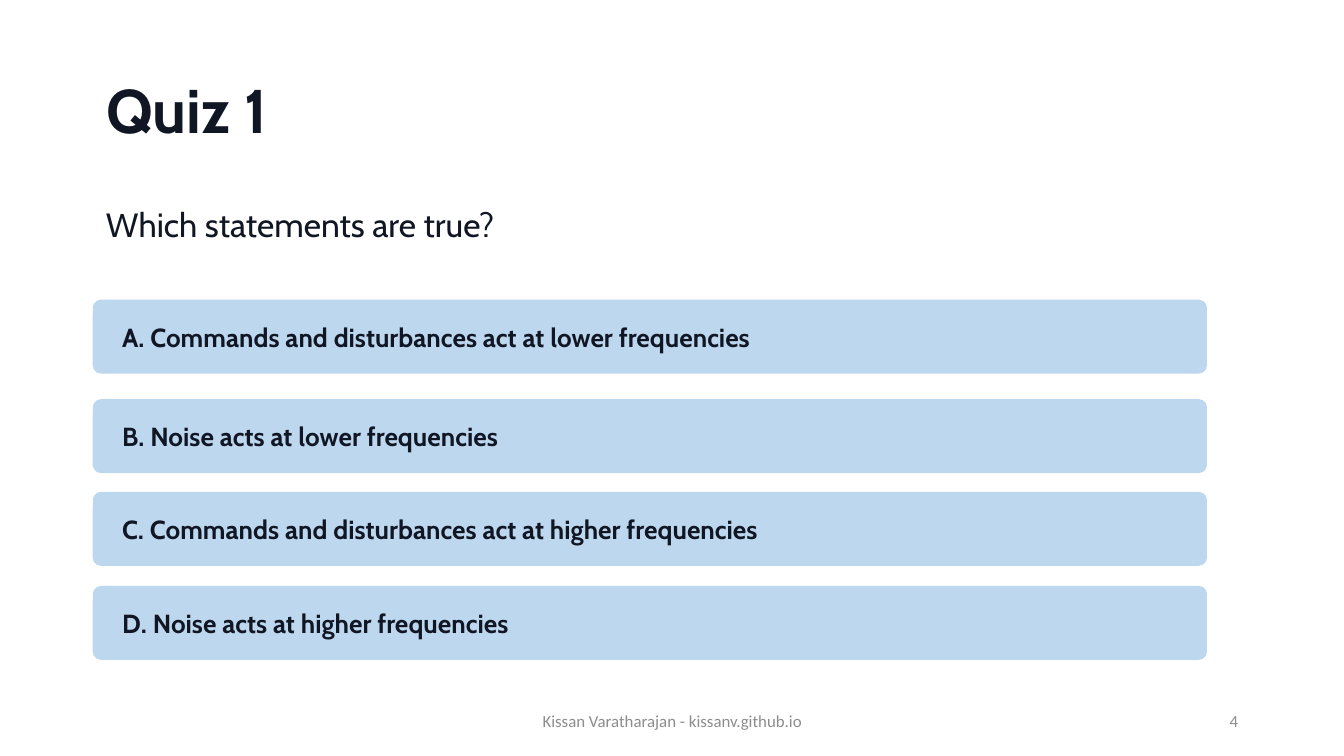
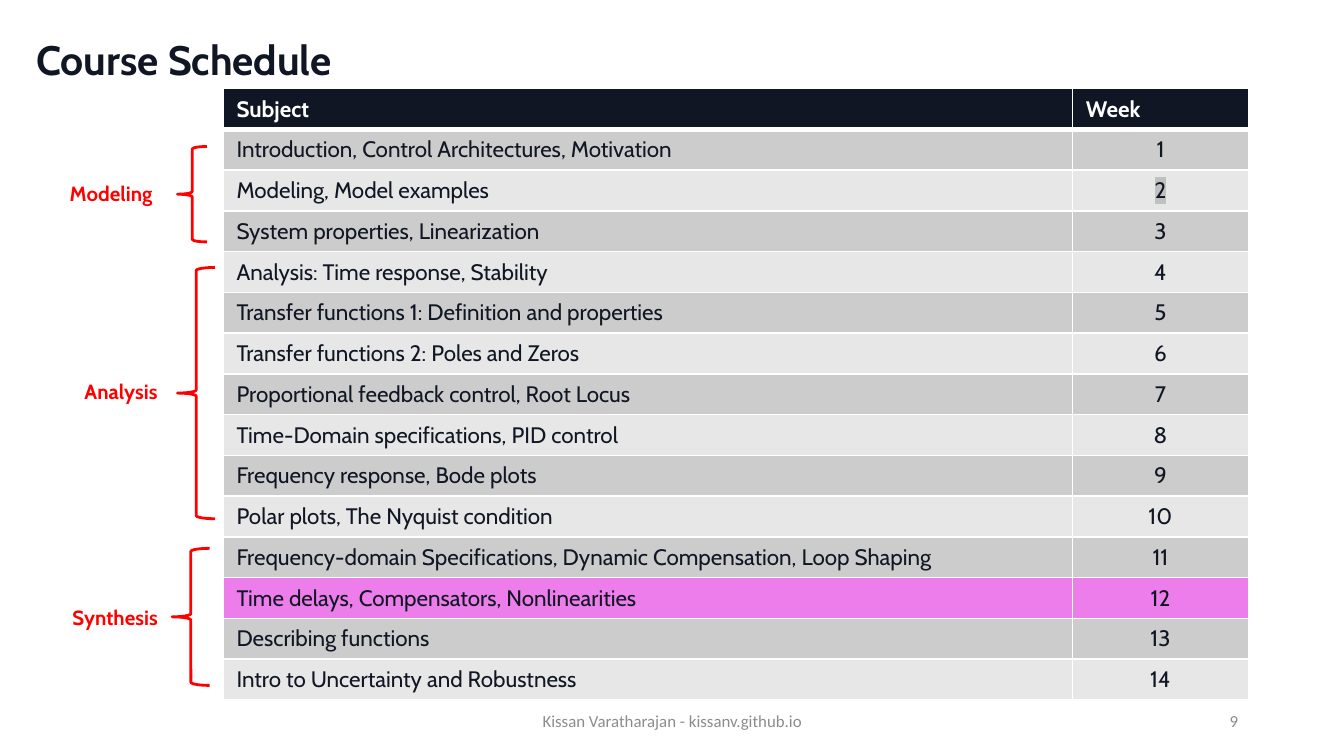
import pptx
import pptx.dml.color
import pptx.enum.shapes
import pptx.enum.text
import pptx.oxml.ns
import pptx.util

Inches = pptx.util.Inches
Pt = pptx.util.Pt
RGBColor = pptx.dml.color.RGBColor
Shape = pptx.enum.shapes.MSO_SHAPE
Anchor = pptx.enum.text.MSO_ANCHOR
Align = pptx.enum.text.PP_ALIGN
qn = pptx.oxml.ns.qn

INK = RGBColor(0x10, 0x16, 0x23)
WHITE = RGBColor(0xFF, 0xFF, 0xFF)
FOOTER_GREY = RGBColor(0x8C, 0x8C, 0x8D)
OPTION_BLUE = RGBColor(0xBD, 0xD7, 0xEE)
PHASE_RED = RGBColor(0xFF, 0x00, 0x00)
BAND_DARK = RGBColor(0xCC, 0xCC, 0xCC)
BAND_LIGHT = RGBColor(0xE7, 0xE7, 0xE8)
CURRENT_PINK = RGBColor(0xED, 0x7D, 0xEA)
MARKER_GREY = RGBColor(0xC0, 0xC0, 0xC0)

HEADING_FONT = "Cabin"
FOOTER_FONT = "Calibri"
FOOTER = "Kissan Varatharajan - kissanv.github.io"

OPTIONS = [
    (2.23, "A. Commands and disturbances act at lower frequencies"),
    (2.97, "B. Noise acts at lower frequencies"),
    (3.66, "C. Commands and disturbances act at higher frequencies"),
    (4.36, "D. Noise acts at higher frequencies"),
]
SUBJECTS = [
    "Introduction, Control Architectures, Motivation",
    "Modeling, Model examples",
    "System properties, Linearization",
    "Analysis: Time response, Stability",
    "Transfer functions 1: Definition and properties",
    "Transfer functions 2: Poles and Zeros",
    "Proportional feedback control, Root Locus",
    "Time-Domain specifications, PID control",
    "Frequency response, Bode plots",
    "Polar plots, The Nyquist condition",
    "Frequency-domain Specifications, Dynamic Compensation, Loop Shaping",
    "Time delays, Compensators, Nonlinearities",
    "Describing functions",
    "Intro to Uncertainty and Robustness",
]
CURRENT_WEEK = 12
MARKED_WEEK = 2
# Name, label place, brace place
PHASES = [
    ("Modeling", (0.42, 1.3, 0.9, 0.29), (1.32, 1.09, 0.22, 0.71)),
    ("Analysis", (0.53, 2.77, 0.79, 0.29), (1.32, 1.99, 0.28, 1.87)),
    ("Synthesis", (0.44, 4.45, 0.88, 0.29), (1.28, 4.08, 0.28, 1.02)),
]


def inches(place):
    return [Inches(length) for length in place]


def write(frame, text, size, color=INK, font=HEADING_FONT, bold=False,
          align=Align.LEFT, line_spacing=None):
    """Fill a text frame with one formatted paragraph and return its run."""
    para = frame.paragraphs[0]
    para.alignment = align
    if line_spacing:
        para.line_spacing = line_spacing
    span = para.add_run()
    span.text = text
    span.font.size = Pt(size)
    span.font.name = font
    span.font.bold = bold
    span.font.color.rgb = color
    return span


def add_text(page, place, text, size, anchor=Anchor.TOP, wrap=True, **style):
    frame = page.shapes.add_textbox(*inches(place)).text_frame
    frame.word_wrap = wrap
    frame.vertical_anchor = anchor
    write(frame, text, size, **style)


def add_page(deck, title, title_place, title_size, number):
    """Add a title-only slide with its title and footer."""
    page = deck.slides.add_slide(deck.slide_layouts[5])
    box = page.shapes.title
    box.left, box.top, box.width, box.height = inches(title_place)
    frame = box.text_frame
    frame.auto_size = pptx.enum.text.MSO_AUTO_SIZE.NONE
    frame.vertical_anchor = Anchor.MIDDLE
    write(frame, title, title_size, bold=True, line_spacing=0.9)
    footer_style = dict(size=9, anchor=Anchor.MIDDLE, color=FOOTER_GREY, font=FOOTER_FONT)
    add_text(page, (3.31, 5.21, 3.38, 0.3), FOOTER, align=Align.CENTER, **footer_style)
    add_text(page, (7.06, 5.21, 2.25, 0.3), str(number), align=Align.RIGHT, **footer_style)
    return page


def add_option(page, top, text):
    box = page.shapes.add_shape(Shape.ROUNDED_RECTANGLE, *inches((0.69, top, 8.29, 0.55)))
    box.adjustments[0] = 0.11
    box.shadow.inherit = False
    box.fill.solid()
    box.fill.fore_color.rgb = OPTION_BLUE
    box.line.fill.background()
    frame = box.text_frame
    frame.word_wrap = True
    frame.margin_left = Inches(0.2)
    frame.vertical_anchor = Anchor.MIDDLE
    write(frame, text, 14, bold=True)


def add_brace(page, place):
    brace = page.shapes.add_shape(Shape.LEFT_BRACE, *inches(place))
    brace.shadow.inherit = False
    brace.fill.background()
    brace.line.color.rgb = PHASE_RED
    brace.line.width = Pt(1.5)


def color_element(parent, tag, color):
    """Make an element such as a:solidFill that holds one RGB colour."""
    element = parent.makeelement(qn(tag), {})
    element.append(element.makeelement(qn("a:srgbClr"), {"val": str(color)}))
    return element


def format_cell(cell, fill, top=1, bottom=1):
    """Give a cell white borders (widths in points) and a fill."""
    properties = cell._tc.get_or_add_tcPr()
    for side, width in (("L", 1), ("R", 1), ("T", top), ("B", bottom)):
        line = properties.makeelement(qn("a:ln" + side), {"w": str(Pt(width))})
        line.append(color_element(line, "a:solidFill", WHITE))
        properties.append(line)
    cell.fill.solid()
    cell.fill.fore_color.rgb = fill


def highlight(span, color):
    latin = span.font._element.find(qn("a:latin"))
    latin.addprevious(color_element(latin, "a:highlight", color))


def add_schedule(page):
    place = inches((1.66, 0.66, 7.63, 4.55))
    table = page.shapes.add_table(len(SUBJECTS) + 1, 2, *place).table
    table.columns[0].width = Inches(6.32)
    table.columns[1].width = Inches(1.31)
    for column, heading in enumerate(("Subject", "Week")):
        cell = table.cell(0, column)
        format_cell(cell, INK, bottom=3)
        write(cell.text_frame, heading, 12, color=WHITE, bold=True)
    for week, subject in enumerate(SUBJECTS, start=1):
        fill = BAND_DARK if week % 2 else BAND_LIGHT
        if week == CURRENT_WEEK:
            fill = CURRENT_PINK
        subject_cell, week_cell = table.cell(week, 0), table.cell(week, 1)
        for cell in (subject_cell, week_cell):
            format_cell(cell, fill, top=3 if week == 1 else 1)
        write(subject_cell.text_frame, subject, 12)
        span = write(week_cell.text_frame, str(week), 12, align=Align.CENTER)
        if week == MARKED_WEEK:
            highlight(span, MARKER_GREY)


def build_quiz(deck):
    page = add_page(deck, "Quiz 1", (0.69, 0.3, 8.62, 1.09), 33, 4)
    add_text(page, (0.69, 1.5, 8.88, 3.57), "Which statements are true?", 18,
             line_spacing=0.9)
    for top, text in OPTIONS:
        add_option(page, top, text)


def build_schedule(deck):
    page = add_page(deck, "Course Schedule", (0.17, -0.08, 8.62, 1.09), 22, 9)
    add_schedule(page)
    for name, label_place, brace_place in PHASES:
        add_text(page, label_place, name, 11, wrap=False, color=PHASE_RED, bold=True)
        add_brace(page, brace_place)


def main():
    deck = pptx.Presentation()
    deck.slide_width = Inches(10)
    deck.slide_height = Inches(10 * 9 / 16)
    build_quiz(deck)
    build_schedule(deck)
    deck.save("out.pptx")


if __name__ == "__main__":
    main()
